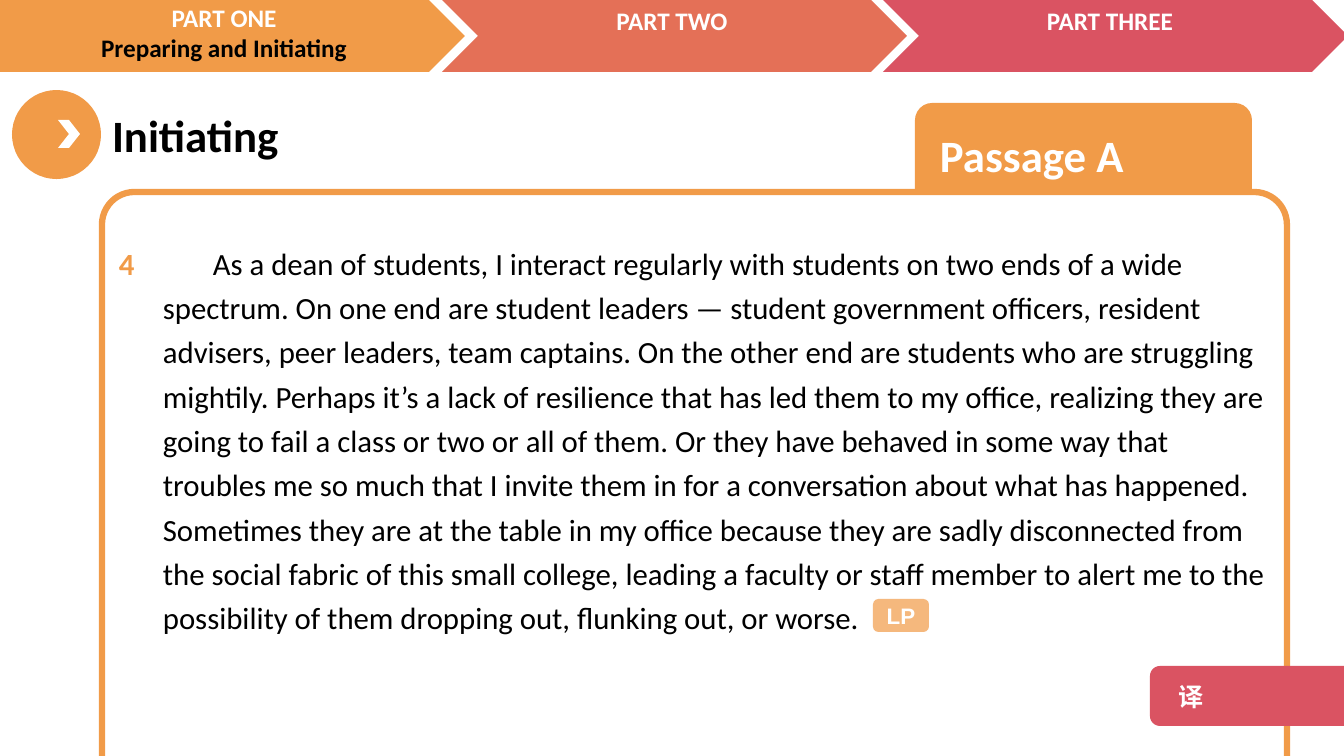
from lxml import etree
from pptx import Presentation
from pptx.dml.color import RGBColor
from pptx.enum.shapes import MSO_SHAPE as Kind
from pptx.enum.text import MSO_ANCHOR as Anchor, MSO_AUTO_SIZE as Auto, PP_ALIGN as Align
from pptx.oxml.ns import qn
from pptx.util import Emu, Pt

PX = 914400 / 100.8
ORANGE = RGBColor(0xF1, 0x9B, 0x48)
CORAL = RGBColor(0xE4, 0x70, 0x57)
ROSE = RGBColor(0xDA, 0x53, 0x62)
WHITE = RGBColor(0xFF, 0xFF, 0xFF)
BLACK = RGBColor(0, 0, 0)

deck = Presentation()
deck.slide_width, deck.slide_height = Emu(round(1344 * PX)), Emu(round(756 * PX))
slide = deck.slides.add_slide(deck.slide_layouts[5])


def draw(kind, box, fill):
    shape = slide.shapes.add_shape(kind, *(Emu(round(v * PX)) for v in box))
    shape.shadow.inherit = False
    shape.fill.solid()
    shape.fill.fore_color.rgb = fill
    shape.line.fill.background()
    return shape


def write(shape, text, size, colors, bold=True, face="Calibri", align=Align.LEFT,
          anchor=Anchor.TOP):
    """Fill a shape with text; each paragraph takes the next colour."""
    frame = shape.text_frame
    frame.word_wrap = True
    frame.auto_size = Auto.NONE
    frame.vertical_anchor = anchor
    frame.text = text
    for para, color in zip(frame.paragraphs, colors):
        para.alignment = align
        for run in para.runs:
            font = run.font
            font.size, font.bold, font.name = Pt(size), bold, face
            font.color.rgb = color
    return frame


# Heading
draw(Kind.OVAL, (12, 90, 89, 89), ORANGE)
title = slide.shapes.title
title.left, title.top, title.width, title.height = (
    Emu(round(v * PX)) for v in (102, 103, 489, 65))
write(title, "Initiating", 32, [BLACK])

# Passage card
tab = draw(Kind.ROUNDED_RECTANGLE, (915, 103, 337, 103), ORANGE)
frame = write(tab, "Passage A", 32, [WHITE], anchor=Anchor.MIDDLE)
frame.margin_left = Emu(round(20 * PX))
card = draw(Kind.ROUNDED_RECTANGLE, (102, 192, 1185, 650), WHITE)
card.adjustments[0] = 0.05
card.line.color.rgb = ORANGE
card.line.width = Pt(4.5)

# Navigation arrows
for left, wide, fill in ((442, 465, CORAL), (883, 465, ROSE), (-61, 526, ORANGE)):
    draw(Kind.CHEVRON, (left, 0, wide, 72), fill)
draw(Kind.CHEVRON, (58, 120, 22, 28), WHITE)

# Text boxes
PASSAGE = (
    "As a dean of students, I interact regularly with students on two ends of a wide "
    "spectrum. On one end are student leaders — student government officers, resident "
    "advisers, peer leaders, team captains. On the other end are students who are struggling "
    "mightily. Perhaps it’s a lack of resilience that has led them to my office, realizing "
    "they are going to fail a class or two or all of them. Or they have behaved in some way "
    "that troubles me so much that I invite them in for a conversation about what has "
    "happened. Sometimes they are at the table in my office because they are sadly "
    "disconnected from the social fabric of this small college, leading a faculty or staff "
    "member to alert me to the possibility of them dropping out, flunking out, or worse.")
parts = (
    ((-6, -3, 460, 72), "PART ONE\nPreparing and Initiating", [WHITE, BLACK]),
    ((442, 0, 460, 72), "PART TWO", [WHITE]),
    ((880, 0, 460, 40), "PART THREE", [WHITE]),
)
for box, text, colors in parts:
    label = slide.shapes.add_textbox(*(Emu(round(v * PX)) for v in box))
    write(label, text, 18, colors, align=Align.CENTER)

for box, text, color, bold, indent in (
        ((153, 232, 1134, 413), PASSAGE, BLACK, False, 50),
        ((109, 232, 51, 60), "4", ORANGE, True, 0)):
    block = slide.shapes.add_textbox(*(Emu(round(v * PX)) for v in box))
    para = write(block, text, 22, [color], bold).paragraphs[0]
    para.line_spacing = 1.2
    para._p.get_or_add_pPr().set("indent", str(round(indent * PX)))

# Buttons
point = draw(Kind.ROUNDED_RECTANGLE, (873, 599, 56, 33), ORANGE)
color = point.fill._xPr.find(qn("a:solidFill"))[0]
etree.SubElement(color, qn("a:alpha")).set("val", "71000")
frame = write(point, "LP", 16, [WHITE], face="Arial", align=Align.CENTER, anchor=Anchor.MIDDLE)
frame.margin_left = frame.margin_right = 0

CJK = "Noto Sans CJK SC"
button = draw(Kind.ROUNDED_RECTANGLE, (1150, 666, 215, 60), ROSE)
frame = write(button, "译", 18, [WHITE], face=CJK, anchor=Anchor.MIDDLE)
frame.margin_left = Emu(round(26 * PX))
props = frame.paragraphs[0].runs[0]._r.get_or_add_rPr()
etree.SubElement(props, qn("a:ea")).set("typeface", CJK)

deck.save("out.pptx")
